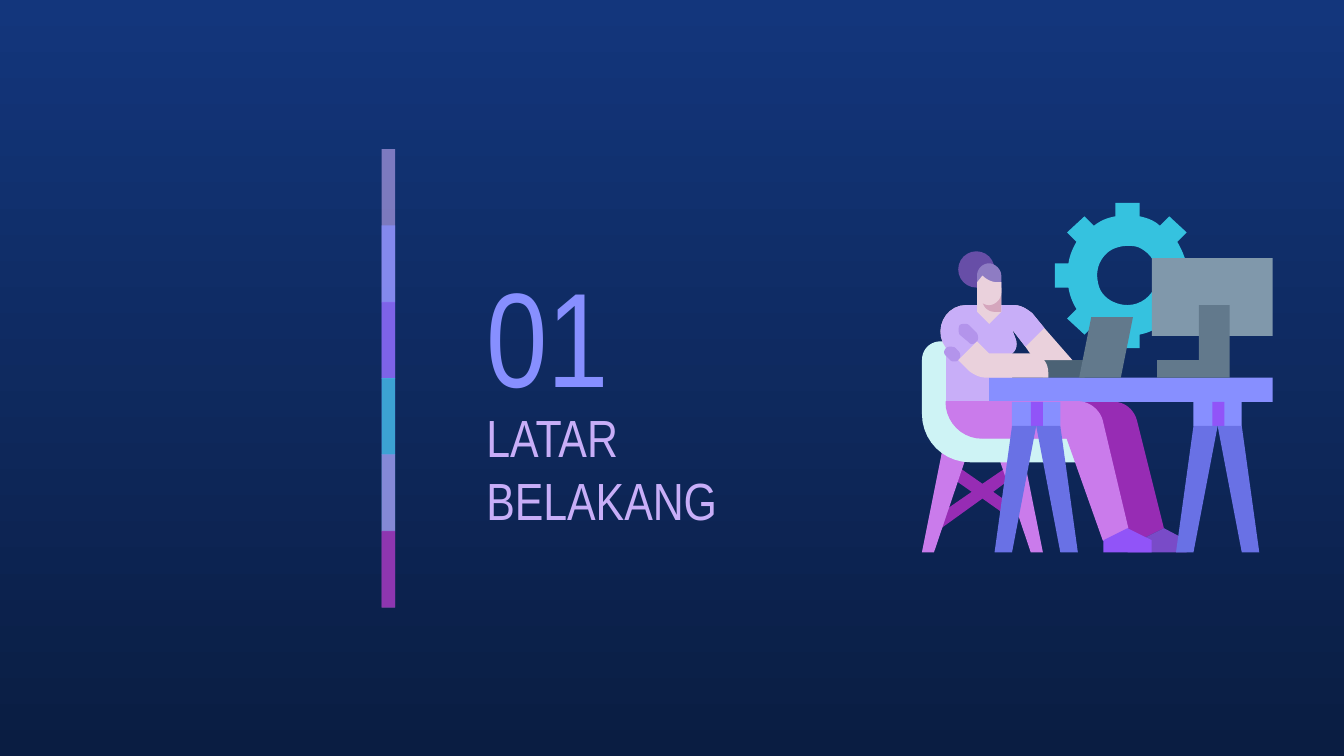
import dataclasses

import lxml.etree
import pptx
import pptx.dml.color
import pptx.enum.shapes
import pptx.enum.text
import pptx.oxml.ns
import pptx.util

Inches = pptx.util.Inches


@dataclasses.dataclass(frozen=True)
class Theme:
    font: str = "Arial Narrow"
    number_size: int = 72
    title_size: int = 28
    bg_top: str = "13367C"
    bg_bottom: str = "0A1D42"
    lilac: str = "C8AEF8"
    sleeve: str = "B394EB"
    periwinkle: str = "878FFF"
    leg: str = "6971E5"
    violet: str = "9154F8"
    cyan: str = "35C2DF"
    orchid: str = "CA7BEB"
    plum: str = "972CB4"
    back_shoe: str = "794BC8"
    chair: str = "CEF3F5"
    skin: str = "EAD1DC"
    shade: str = "D5A6BD"
    bun: str = "674EA7"
    hair: str = "8E7CC3"
    screen: str = "8098AB"
    steel: str = "62798C"
    keyboard: str = "4B6275"


T = Theme()

GEAR = """M 8.39,1.83 C 8.42,1.83 8.44,1.83 8.47,1.84 C 8.56,1.88 8.61,1.96 8.61,2.05
C 8.61,2.17 8.51,2.27 8.39,2.27 C 8.3,2.27 8.21,2.22 8.18,2.14
C 8.15,2.05 8.16,1.96 8.23,1.89 C 8.27,1.85 8.33,1.83 8.39,1.83
M 8.3,1.51 L 8.3,1.61 C 8.24,1.62 8.19,1.64 8.14,1.68 L 8.07,1.61 7.94,1.73 8.01,1.8
C 7.98,1.85 7.96,1.9 7.95,1.96 L 7.85,1.96 7.85,2.14 7.95,2.14
C 7.96,2.2 7.98,2.25 8.01,2.3 L 7.94,2.37 8.07,2.49 8.14,2.42
C 8.19,2.46 8.24,2.48 8.3,2.49 L 8.3,2.59 8.48,2.59 8.48,2.49
C 8.53,2.48 8.59,2.46 8.63,2.42 L 8.7,2.49 8.83,2.37 8.76,2.3
C 8.79,2.25 8.81,2.2 8.83,2.14 L 8.92,2.14 8.92,1.96 8.83,1.96
C 8.81,1.9 8.79,1.85 8.76,1.8 L 8.83,1.73 8.7,1.61 8.63,1.68
C 8.59,1.64 8.53,1.62 8.48,1.61 L 8.48,1.51"""
CHAIR_BRACE = """M 7.11,3.46 L 7.06,3.54 7.23,3.66 6.94,3.86 6.99,3.94 7.31,3.71 7.48,3.83
7.53,3.76 7.39,3.66 7.55,3.54 7.5,3.47 7.31,3.6"""
CHAIR_SEAT = """M 7,2.54 C 6.92,2.54 6.86,2.6 6.86,2.68 L 6.86,3.08
C 6.86,3.28 7.02,3.44 7.22,3.44 L 8.07,3.44 8.07,3.22 7.31,3.22
C 7.19,3.22 7.09,3.12 7.09,2.99 L 7.09,2.54"""
BACK_LEG = """M 7.31,2.99 C 7.31,3.14 7.43,3.26 7.58,3.26 L 8.21,3.26 8.39,4.02 8.48,4.02
8.66,3.93 8.46,3.13 C 8.44,3.05 8.37,2.99 8.29,2.99"""
FRONT_LEG = """M 7.04,2.99 C 7.04,3.14 7.16,3.26 7.31,3.26 L 7.94,3.26 8.21,4.02 8.39,3.93
8.2,3.13 C 8.18,3.05 8.1,2.99 8.02,2.99"""
BACK_SHOE = "M 8.66,3.93 L 8.48,4.02 8.39,4.02 8.39,4.11 8.83,4.11 8.83,4.02"
FRONT_SHOE = "M 8.39,3.93 L 8.21,4.02 8.21,4.11 8.57,4.11 8.57,4.02"
TORSO = """M 7.19,2.27 C 7.03,2.27 6.94,2.46 7.04,2.59 L 7.04,2.99 7.53,2.99 7.53,2.63
C 7.56,2.61 7.57,2.57 7.56,2.53 L 7.53,2.45 7.63,2.58 {hand} 7.77,2.44 7.68,2.33
C 7.64,2.3 7.6,2.27 7.54,2.27"""
CUFF = """M 7.07,2.58 C 7.06,2.58 7.05,2.58 7.04,2.59 C 7.02,2.61 7.02,2.63 7.04,2.65
L 7.07,2.68 C 7.08,2.69 7.09,2.69 7.1,2.69 C 7.11,2.69 7.12,2.69 7.13,2.68
C 7.15,2.66 7.15,2.63 7.13,2.61 L 7.11,2.59 C 7.1,2.58 7.08,2.58 7.07,2.58"""
SLEEVE_FOLD = """M 7.18,2.41 C 7.17,2.41 7.15,2.41 7.14,2.42 C 7.13,2.44 7.13,2.47 7.14,2.49
L 7.2,2.54 C 7.21,2.55 7.22,2.56 7.23,2.56 C 7.25,2.56 7.26,2.55 7.27,2.54
C 7.28,2.53 7.28,2.5 7.27,2.48 L 7.21,2.42 C 7.2,2.41 7.19,2.41 7.18,2.41"""
NECK = "M 7.27,2.14 L 7.27,2.32 7.36,2.41 7.45,2.32 7.45,2.14"
FOREARM = """M 7.27,2.54 L 7.13,2.68 7.21,2.76 C 7.25,2.79 7.29,2.81 7.34,2.81
L 7.8,2.81 7.8,2.77 C 7.8,2.69 7.74,2.63 7.67,2.63 L 7.36,2.63"""
LAPTOP_LID = "M 8.12,2.36 L 8.03,2.81 8.34,2.81 8.43,2.36"
MONITOR_STAND = "M 8.92,2.27 L 8.92,2.68 8.61,2.68 8.61,2.81 9.15,2.81 9.15,2.27"
CHIN_SHADE = "M 7.31,2.14 L 7.31,2.23 C 7.31,2.28 7.35,2.32 7.4,2.32 L 7.45,2.32 7.45,2.14"
FRINGE = """M 7.36,1.96 C 7.31,1.96 7.27,2 7.27,2.05 L 7.27,2.14 7.45,2.14 7.45,2.05
C 7.45,2 7.4,1.96 7.36,1.96"""
FACE = """M 7.31,2.05 L 7.27,2.1 7.27,2.18 C 7.27,2.23 7.31,2.27 7.36,2.27
C 7.4,2.27 7.45,2.23 7.45,2.18 L 7.45,2.1 7.42,2.1 C 7.38,2.1 7.34,2.08 7.31,2.05"""


def rgb(color):
    return pptx.dml.color.RGBColor.from_string(color)


def paint(sp, color, alpha=100):
    sp.shadow.inherit = False
    sp.fill.solid()
    sp.fill.fore_color.rgb = rgb(color)
    sp.line.fill.background()
    if alpha < 100:
        qn = pptx.oxml.ns.qn
        clr = sp._element.spPr.find(qn("a:solidFill")).find(qn("a:srgbClr"))
        lxml.etree.SubElement(clr, qn("a:alpha"), val=str(alpha * 1000))
    return sp


def add_block(grp, left, top, width, height, color, alpha=100, oval=False):
    kinds = pptx.enum.shapes.MSO_SHAPE
    kind = kinds.OVAL if oval else kinds.RECTANGLE
    sp = grp.shapes.add_shape(kind, Inches(left), Inches(top), Inches(width), Inches(height))
    return paint(sp, color, alpha)


def bezier(p0, p1, p2, p3, steps=10):
    for i in range(1, steps + 1):
        t = i / steps
        u = 1 - t
        yield tuple(u**3 * a + 3 * u * u * t * b + 3 * u * t * t * c + t**3 * d
                    for a, b, c, d in zip(p0, p1, p2, p3))


def contours(outline):
    result, controls, command = [], [], ""
    for token in outline.split():
        if token in "MLC":
            command = token
            continue
        point = tuple(float(v) for v in token.split(","))
        if command == "M":
            result.append([point])
        elif command == "L":
            result[-1].append(point)
        else:
            controls.append(point)
            if len(controls) == 3:
                result[-1].extend(bezier(result[-1][-1], *controls))
                controls = []
    return result


def add_outline(grp, outline, color):
    builder = None
    for contour in contours(outline):
        points = [(Inches(x), Inches(y)) for x, y in contour]
        if builder is None:
            builder = grp.shapes.build_freeform(*points[0], scale=1.0)
        else:
            builder.move_to(*points[0])
        builder.add_line_segments(points[1:], close=True)
    return paint(builder.convert_to_shape(), color)


def add_leg(grp, inner, outer, top, bottom, top_width, foot_width, side, color):
    corners = [(inner, top), (outer - side * foot_width, bottom),
               (outer, bottom), (inner + side * top_width, top)]
    outline = "M " + " L ".join(f"{x:.2f},{y}" for x, y in corners)
    add_outline(grp, outline, color)


def add_trestle(grp, x):
    add_block(grp, x - 0.18, 2.99, 0.36, 0.18, T.periwinkle)
    add_block(grp, x - 0.04, 2.99, 0.09, 0.18, T.violet)
    for side in (-1, 1):
        add_leg(grp, x, x + side * 0.31, 3.17, 4.11, 0.18, 0.13, side, T.leg)


def add_title(s, left, top, width, height, text, size, color):
    tf = s.shapes.add_textbox(Inches(left), Inches(top), Inches(width), Inches(height)).text_frame
    tf.word_wrap = True
    tf.vertical_anchor = pptx.enum.text.MSO_ANCHOR.MIDDLE
    tf.margin_left = tf.margin_right = tf.margin_top = tf.margin_bottom = Inches(0.1)
    p = tf.paragraphs[0]
    p.text = text
    font = p.runs[0].font
    font.name, font.size, font.color.rgb = T.font, pptx.util.Pt(size), rgb(color)


def add_background(s):
    fill = s.background.fill
    fill.gradient()
    fill.gradient_angle = 270
    for stop, color in zip(fill.gradient_stops, (T.bg_top, T.bg_bottom)):
        stop.color.rgb = rgb(color)


def add_color_bar(s):
    grp = s.shapes.add_group_shape()
    bands = [(T.lilac, 59), (T.periwinkle, 74), (T.violet, 53),
             (T.cyan, 76), (T.orchid, 56), (T.plum, 74)]
    for i, (color, alpha) in enumerate(bands):
        height = 0.57 if i == len(bands) - 1 else 1.14
        add_block(grp, 2.84, 1.11 + 2.84 * i / 5, 0.1, height, color, alpha)


def add_desk_scene(s):
    grp = s.shapes.add_group_shape()
    add_outline(grp, GEAR, T.cyan)
    add_block(grp, 7.76, 2.68, 0.31, 0.13, T.keyboard)
    add_outline(grp, CHAIR_BRACE, T.plum)
    add_leg(grp, 7.4, 7.76, 3.31, 4.11, 0.2, 0.09, 1, T.orchid)
    add_leg(grp, 7.22, 6.86, 3.31, 4.11, 0.2, 0.09, -1, T.orchid)
    for outline, color in [(CHAIR_SEAT, T.chair), (BACK_LEG, T.plum), (BACK_SHOE, T.back_shoe),
                           (TORSO.format(hand="7.7,2.68 7.98,2.68"), T.skin),
                           (TORSO.format(hand=""), T.lilac)]:
        add_outline(grp, outline, color)
    add_block(grp, 7.36, 2.81, 2.11, 0.18, T.periwinkle)
    for outline, color in [(CUFF, T.sleeve), (SLEEVE_FOLD, T.sleeve), (NECK, T.skin),
                           (FOREARM, T.skin), (LAPTOP_LID, T.steel)]:
        add_outline(grp, outline, color)
    sp = add_outline(grp, FRONT_LEG, T.orchid)
    sp.line.color.rgb = rgb(T.orchid)
    sp.line.width = pptx.util.Pt(0.75)
    add_outline(grp, FRONT_SHOE, T.violet)
    add_block(grp, 8.57, 1.92, 0.9, 0.58, T.screen)
    add_outline(grp, MONITOR_STAND, T.steel)
    for x in (9.06, 7.71):
        add_trestle(grp, x)
    add_outline(grp, CHIN_SHADE, T.shade)
    add_block(grp, 7.13, 1.87, 0.27, 0.27, T.bun, oval=True)
    add_outline(grp, FRINGE, T.hair)
    add_outline(grp, FACE, T.skin)


def main():
    prs = pptx.Presentation()
    prs.slide_width = Inches(10)
    prs.slide_height = prs.slide_width * 9 // 16
    s = prs.slides.add_slide(prs.slide_layouts[6])
    add_background(s)
    add_color_bar(s)
    add_title(s, 3.52, 1.81, 1.75, 1.35, "01", T.number_size, T.periwinkle)
    add_title(s, 3.52, 3.15, 2.87, 0.67, "LATAR BELAKANG", T.title_size, T.lilac)
    add_desk_scene(s)
    prs.save("out.pptx")


if __name__ == "__main__":
    main()
